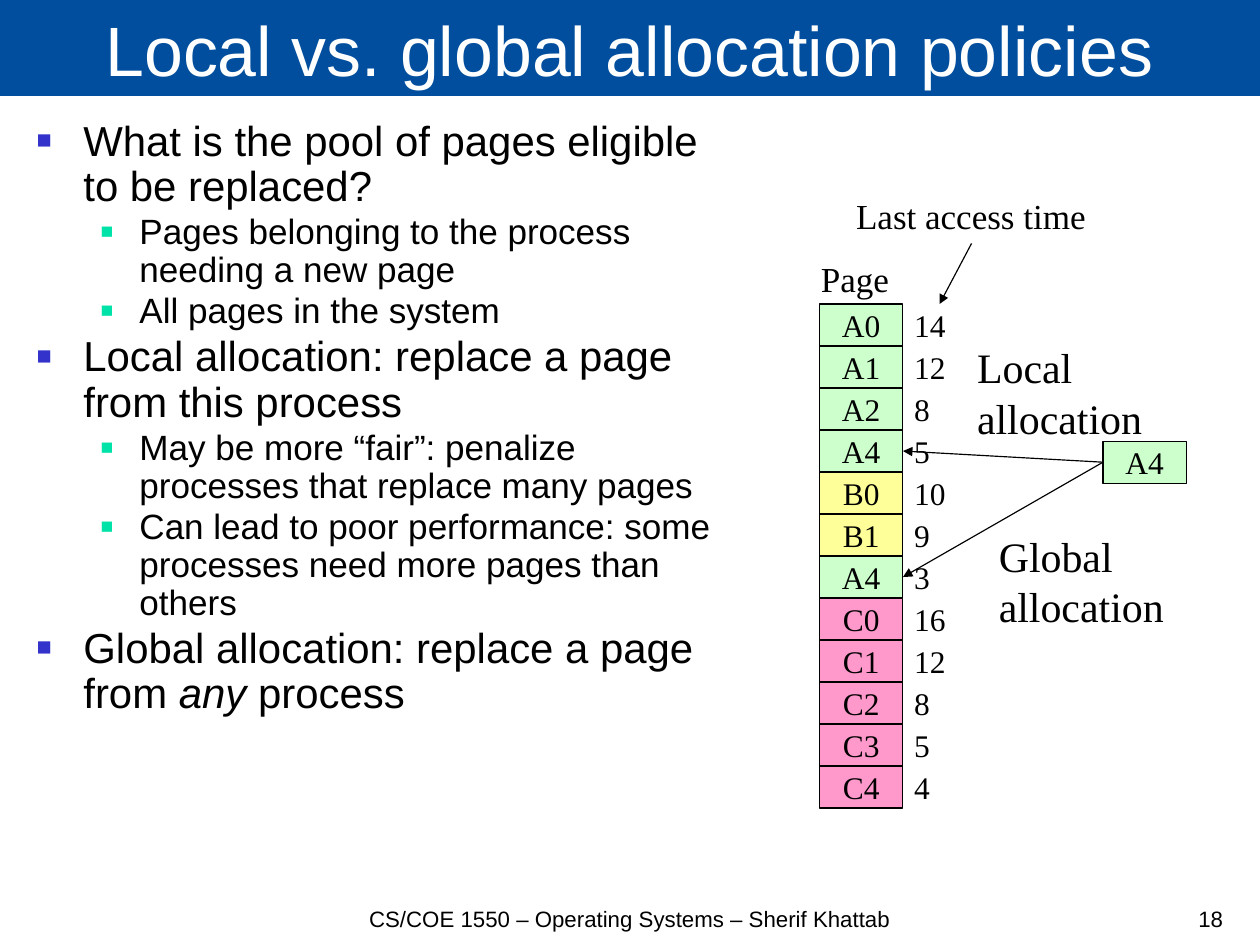
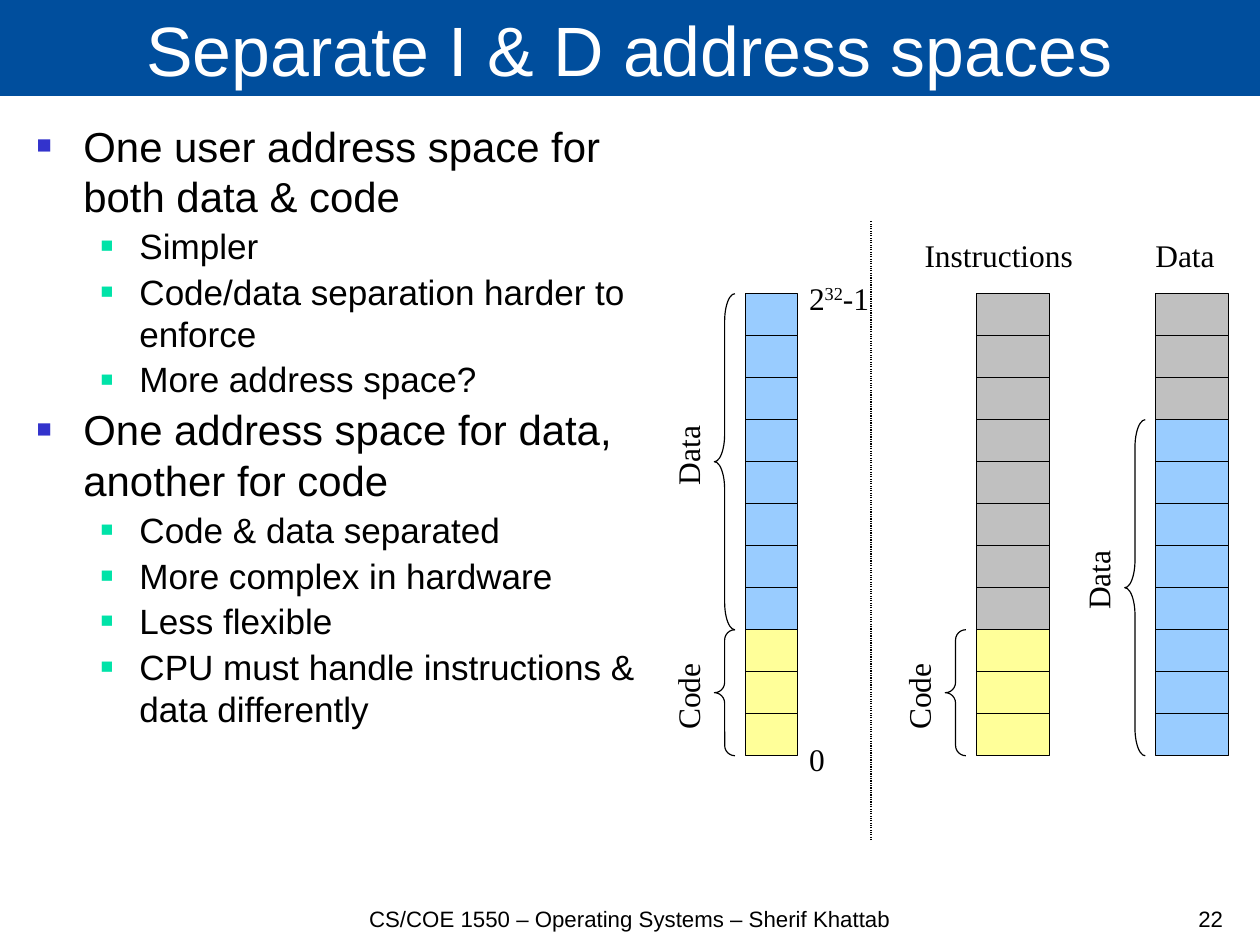
from dataclasses import dataclass

from lxml import etree
from pptx import Presentation
from pptx.dml.color import RGBColor
from pptx.enum.dml import MSO_LINE
from pptx.enum.shapes import MSO_CONNECTOR, MSO_SHAPE
from pptx.enum.text import MSO_ANCHOR, MSO_AUTO_SIZE, PP_ALIGN
from pptx.oxml.ns import qn
from pptx.util import Inches, Pt

RECTANGLE = MSO_SHAPE.RECTANGLE
LEFT_BRACE = MSO_SHAPE.LEFT_BRACE
STRAIGHT = MSO_CONNECTOR.STRAIGHT
DOTTED = MSO_LINE.ROUND_DOT
LEFT, CENTER, RIGHT = PP_ALIGN.LEFT, PP_ALIGN.CENTER, PP_ALIGN.RIGHT
TOP, MIDDLE, BOTTOM = MSO_ANCHOR.TOP, MSO_ANCHOR.MIDDLE, MSO_ANCHOR.BOTTOM
NO_AUTOFIT = MSO_AUTO_SIZE.NONE


@dataclass(frozen=True)
class Theme:
    sans: str = "Arial"
    serif: str = "Times New Roman"
    band: str = "004E9D"
    white: str = "FFFFFF"
    black: str = "000000"
    green: str = "CCFFCC"
    yellow: str = "FFFF99"
    pink: str = "FF99CC"
    blue: str = "99CCFF"
    gray: str = "C0C0C0"
    bullet_colors: tuple = ("3333CC", "00E3A8")
    body_sizes: tuple = (26.46, 22.1)
    title_size: float = 44
    footer_size: float = 14
    cell_size: float = 19.8
    label_size: float = 22.1
    policy_size: float = 26.46
    line_width: float = 0.75


THEME = Theme()
FOOTER = "CS/COE 1550 – Operating Systems – Sherif Khattab"
SLIDE_WIDTH, SLIDE_HEIGHT = 28 / 2.54, 21 / 2.54  # 28 by 21 cm
ROW = 4.41 / 12
BODY_INDENTS = ((0.41, -0.41), (0.9, -0.34))  # left margin, first line

PAGE_LEFT, PAGE_TOP, PAGE_WIDTH = 7.17, 2.66, 0.73
PAGE_RIGHT = PAGE_LEFT + PAGE_WIDTH
PAGES = (
    ("A0", 14), ("A1", 12), ("A2", 8), ("A4", 5), ("B0", 10), ("B1", 9),
    ("A4", 3), ("C0", 16), ("C1", 12), ("C2", 8), ("C3", 5), ("C4", 4),
)
PROCESS_COLORS = {"A": THEME.green, "B": THEME.yellow, "C": THEME.pink}
LOCAL_ROW, GLOBAL_ROW = 3, 6
MEMORY_TOP = 2.57

POLICY_BULLETS = (
    (0, "What is the pool of pages eligible to be replaced?"),
    (1, "Pages belonging to the process needing a new page"),
    (1, "All pages in the system"),
    (0, "Local allocation: replace a page from this process"),
    (1, "May be more “fair”: penalize processes that replace many pages"),
    (1, "Can lead to poor performance: some processes need more pages than "
        "others"),
    (0, "Global allocation: replace a page from *any* process"),
)
SPACE_BULLETS = (
    (0, "One user address space for both data & code"),
    (1, "Simpler"),
    (1, "Code/data separation harder to enforce"),
    (1, "More address space?"),
    (0, "One address space for data, another for code"),
    (1, "Code & data separated"),
    (1, "More complex in hardware"),
    (1, "Less flexible"),
    (1, "CPU must handle instructions & data differently"),
)


def rgb(color):
    return RGBColor.from_string(color)


def inches(*lengths):
    return [Inches(length) for length in lengths]


def place(shape, left, top, width, height):
    shape.left, shape.top, shape.width, shape.height = inches(
        left, top, width, height)


def style(paragraph, size, font=THEME.serif, color=THEME.black, align=LEFT):
    paragraph.alignment = align
    paragraph.font.size = Pt(size)
    paragraph.font.name = font
    paragraph.font.color.rgb = rgb(color)


def set_frame(frame, anchor, wrap=True):
    frame.auto_size = NO_AUTOFIT
    frame.word_wrap = wrap
    frame.vertical_anchor = anchor


def add_marked_runs(paragraph, text, mark):
    """Add text split at mark; return the runs that stood between marks."""
    marked = []
    for index, part in enumerate(text.split(mark)):
        run = paragraph.add_run()
        run.text = part
        if index % 2:
            marked.append(run)
    return marked


def add_bullet(paragraph, level):
    properties = paragraph._p.get_or_add_pPr()
    margin, first_line = inches(*BODY_INDENTS[level])
    properties.set("marL", str(margin))
    properties.set("indent", str(first_line))
    color = etree.SubElement(properties, qn("a:buClr"))
    etree.SubElement(color, qn("a:srgbClr"), val=THEME.bullet_colors[level])
    etree.SubElement(properties, qn("a:buSzPct"), val="60000")
    etree.SubElement(properties, qn("a:buChar"), char="■")


def fill_body(body, bullets, width, line_spacing):
    place(body, 0.22, 1, width, 6.72)
    frame = body.text_frame
    set_frame(frame, TOP)
    for index, (level, text) in enumerate(bullets):
        paragraph = frame.add_paragraph() if index else frame.paragraphs[0]
        paragraph.level = level
        add_bullet(paragraph, level)
        size = THEME.body_sizes[level]
        style(paragraph, size, THEME.sans)
        paragraph.line_spacing = line_spacing
        paragraph.space_before = Pt(size * 0.1)
        for run in add_marked_runs(paragraph, text, "*"):
            run.font.italic = True


def add_text(slide, text, box, size, font=THEME.serif, align=LEFT,
             anchor=TOP, wrap=False, rotation=0):
    """Add a text box; text between ^ marks is raised."""
    label = slide.shapes.add_textbox(*inches(*box))
    label.rotation = rotation
    set_frame(label.text_frame, anchor, wrap)
    paragraph = label.text_frame.paragraphs[0]
    style(paragraph, size, font, align=align)
    if "^" in text:
        for run in add_marked_runs(paragraph, text, "^"):
            run._r.get_or_add_rPr().set("baseline", "30000")
    else:
        paragraph.text = text


def add_outline(shape):
    shape.line.color.rgb = rgb(THEME.black)
    shape.line.width = Pt(THEME.line_width)


def add_cell(slide, left, top, width, color, text="", align=CENTER,
             outlined=True):
    cell = slide.shapes.add_shape(RECTANGLE, *inches(left, top, width, ROW))
    cell.shadow.inherit = False
    cell.fill.solid()
    cell.fill.fore_color.rgb = rgb(color)
    if outlined:
        add_outline(cell)
    else:
        cell.line.fill.background()
    if text:
        set_frame(cell.text_frame, MIDDLE)
        paragraph = cell.text_frame.paragraphs[0]
        paragraph.text = text
        style(paragraph, THEME.cell_size, align=align)


def add_line(slide, start, end, arrow=False):
    line = slide.shapes.add_connector(STRAIGHT, *inches(*start, *end))
    add_outline(line)
    properties = line._element.spPr
    if arrow:
        etree.SubElement(properties.get_or_add_ln(), qn("a:tailEnd"),
                         type="triangle")
    etree.SubElement(properties, qn("a:effectLst"))
    return line


def add_memory(slide, left, width, *segments):
    """Stack cells downwards from (color, rows) segments."""
    colors = [color for color, rows in segments for _ in range(rows)]
    for row, color in enumerate(colors):
        add_cell(slide, left, MEMORY_TOP + row * ROW, width, color)


def add_segment_brace(slide, memory_left, first_row, rows, curve, text,
                      label_top):
    left = memory_left - 0.27
    brace = slide.shapes.add_shape(LEFT_BRACE, *inches(
        left, MEMORY_TOP + first_row * ROW, 0.18, rows * ROW))
    brace.shadow.inherit = False
    brace.fill.background()
    brace.adjustments[0] = curve
    add_outline(brace)
    add_text(slide, text, (left - 0.63, label_top, 0.79, 0.43),
             THEME.cell_size, align=CENTER, rotation=270)


def add_slide(deck, title, number, bullets, body_width, line_spacing=1.0):
    slide = deck.slides.add_slide(deck.slide_layouts[1])
    heading = slide.shapes.title
    place(heading, 0, -0.01, SLIDE_WIDTH, 0.85)
    heading.fill.solid()
    heading.fill.fore_color.rgb = rgb(THEME.band)
    set_frame(heading.text_frame, BOTTOM)
    paragraph = heading.text_frame.paragraphs[0]
    paragraph.text = title
    style(paragraph, THEME.title_size, THEME.sans, THEME.white, CENTER)
    fill_body(slide.placeholders[1], bullets, body_width, line_spacing)
    for text, left, width, align in ((FOOTER, 2.25, 6.52, CENTER),
                                     (str(number), 10.34, 0.46, RIGHT)):
        add_text(slide, text, (left, 7.9, width, 0.3), THEME.footer_size,
                 THEME.sans, align, BOTTOM, wrap=True)
    return slide


def add_page_table(slide):
    for row, (page, access_time) in enumerate(PAGES):
        top = PAGE_TOP + row * ROW
        add_cell(slide, PAGE_RIGHT, top, 0.64, THEME.white, str(access_time),
                 LEFT, outlined=False)
        add_cell(slide, PAGE_LEFT, top, PAGE_WIDTH, PROCESS_COLORS[page[0]],
                 page)
    add_text(slide, "Page", (7.08, 2.2, 0.8, 0.47), THEME.label_size,
             align=CENTER)
    add_text(slide, "Last access time", (7.38, 1.65, 2.23, 0.47),
             THEME.label_size, align=CENTER)
    add_line(slide, (8.5, 2.13), (8.22, PAGE_TOP), arrow=True)


def add_replacement(slide):
    left, top = 9.65, 3.86
    add_cell(slide, left, top, PAGE_WIDTH, THEME.green, "A4")
    for row, text, label_left, label_top in (
            (LOCAL_ROW, "Local\nallocation", 8.45, 2.94),
            (GLOBAL_ROW, "Global\nallocation", 8.64, 4.59)):
        add_line(slide, (left, top + ROW / 2),
                 (PAGE_RIGHT, PAGE_TOP + (row + 0.5) * ROW), arrow=True)
        add_text(slide, text, (label_left, label_top, 1.67, 0.99),
                 THEME.policy_size)


def add_shared_space(slide):
    left = 6.52
    add_memory(slide, left, 0.46, (THEME.blue, 8), (THEME.yellow, 3))
    add_segment_brace(slide, left, 0, 8, 1.33, "Data", 3.77)
    add_segment_brace(slide, left, 8, 3, 0.5, "Code", 5.88)
    add_text(slide, "0", (6.98, 6.43, 0.34, 0.43), THEME.cell_size)
    add_text(slide, "2^32^-1", (6.98, 2.39, 0.76, 0.43), THEME.cell_size)


def add_separate_spaces(slide):
    code_left, data_left, width = 8.54, 10.11, 0.64
    add_memory(slide, code_left, width, (THEME.gray, 8), (THEME.yellow, 3))
    add_segment_brace(slide, code_left, 8, 3, 0.5, "Code", 5.88)
    add_memory(slide, data_left, width, (THEME.gray, 3), (THEME.blue, 8))
    add_segment_brace(slide, data_left, 3, 8, 1.33, "Data", 4.86)
    add_text(slide, "Instructions", (7.99, 2.02, 1.51, 0.43), THEME.cell_size)
    add_text(slide, "Data", (10.01, 2.02, 0.73, 0.43), THEME.cell_size)


def main():
    deck = Presentation()
    deck.slide_width, deck.slide_height = inches(SLIDE_WIDTH, SLIDE_HEIGHT)

    policies = add_slide(deck, "Local vs. global allocation policies", 18,
                         POLICY_BULLETS, 6.31, 0.9)
    add_page_table(policies)
    add_replacement(policies)

    spaces = add_slide(deck, "Separate I & D address spaces", 22,
                       SPACE_BULLETS, 5.52)
    add_shared_space(spaces)
    add_separate_spaces(spaces)
    divider = add_line(spaces, (7.62, 7.35), (7.62, 1.93))
    divider.line.dash_style = DOTTED

    deck.save("out.pptx")


if __name__ == "__main__":
    main()
